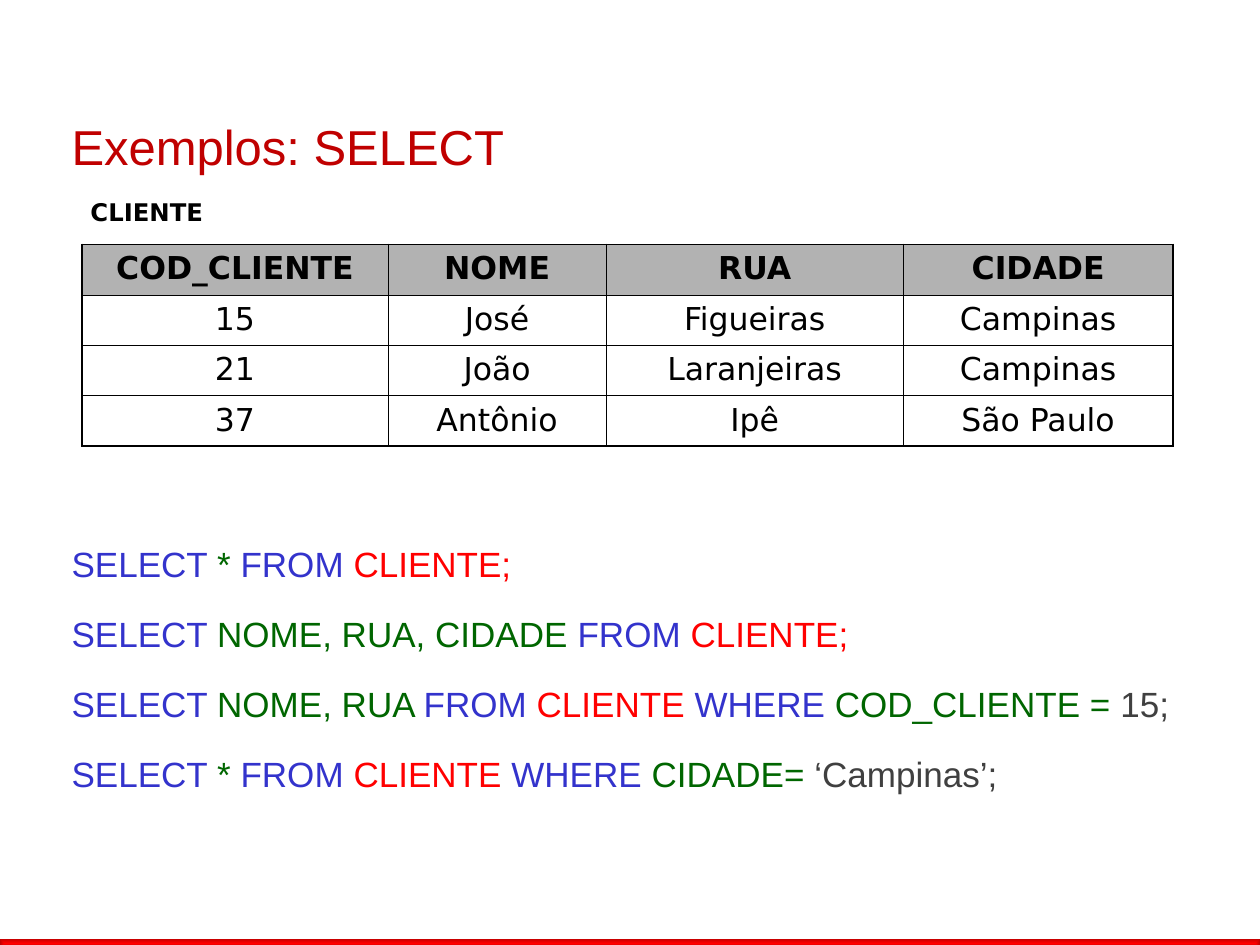
import pptx
import pptx.dml.color
import pptx.enum.shapes
import pptx.enum.text
import pptx.oxml
import pptx.util
from lxml import etree

Pt = pptx.util.Pt
ALIGN = pptx.enum.text.PP_ALIGN
ANCHOR = pptx.enum.text.MSO_ANCHOR
NS = "http://schemas.openxmlformats.org/drawingml/2006/main"
BLUE, GREEN, RED, GRAY, BLACK = "3333CC", "006600", "FF0000", "404040", "000000"


def rgb(value):
    return pptx.dml.color.RGBColor.from_string(value)


def add_span(para, text, font="Arial", size=20, color=BLACK, bold=False):
    span = para.add_run()
    span.text = text
    span.font.name = font
    span.font.size = Pt(size)
    span.font.bold = bold
    span.font.color.rgb = rgb(color)


deck = pptx.Presentation()
deck.slide_width, deck.slide_height = Pt(720), Pt(540)
page = deck.slides.add_slide(deck.slide_layouts[6])

bar = page.shapes.add_shape(
    pptx.enum.shapes.MSO_SHAPE.RECTANGLE, Pt(0), Pt(536.4), Pt(720), Pt(5.4))
bar.shadow.inherit = False
bar.line.fill.background()
bar.fill.gradient()
for stop, color in zip(bar.fill.gradient_stops, [RED, "C00000"]):
    stop.color.rgb = rgb(color)
direction = bar._element.spPr.find(f".//{{{NS}}}lin")
direction.getparent().replace(direction, pptx.oxml.parse_xml(
    f'<a:path xmlns:a="{NS}" path="rect">'
    '<a:fillToRect l="50000" t="50000" r="50000" b="50000"/></a:path>'))

title = page.shapes.add_textbox(Pt(33.84), Pt(54.72), Pt(648), Pt(56.88))
title.text_frame.word_wrap = True
title.text_frame.vertical_anchor = ANCHOR.MIDDLE
add_span(title.text_frame.paragraphs[0], "Exemplos: SELECT", size=28, color="C00000")

statements = [
    [("SELECT ", BLUE), ("* ", GREEN), ("FROM ", BLUE), ("CLIENTE;", RED)],
    [("SELECT ", BLUE), ("NOME, RUA, CIDADE ", GREEN), ("FROM ", BLUE), ("CLIENTE;", RED)],
    [("SELECT ", BLUE), ("NOME, RUA ", GREEN), ("FROM ", BLUE), ("CLIENTE ", RED),
     ("WHERE ", BLUE), ("COD_CLIENTE = ", GREEN), ("15;", GRAY)],
    [("SELECT ", BLUE), ("* ", GREEN), ("FROM ", BLUE), ("CLIENTE ", RED),
     ("WHERE ", BLUE), ("CIDADE= ", GREEN), ("‘Campinas’;", GRAY)],
]
queries = page.shapes.add_textbox(Pt(33.84), Pt(306.5), Pt(669.6), Pt(214))
queries.text_frame.word_wrap = True
for index, statement in enumerate(statements):
    frame = queries.text_frame
    para = frame.add_paragraph() if index else frame.paragraphs[0]
    para.alignment = ALIGN.JUSTIFY
    para.space_before, para.space_after = Pt(6), Pt(10)
    for text, color in statement:
        add_span(para, text, color=color)

rows = [
    ["COD_CLIENTE", "NOME", "RUA", "CIDADE"],
    ["15", "José", "Figueiras", "Campinas"],
    ["21", "João", "Laranjeiras", "Campinas"],
    ["37", "Antônio", "Ipê", "São Paulo"],
]
widths = [174.96, 124.56, 169.92, 154.08]
clients = page.shapes.add_table(
    4, 4, Pt(46.8), Pt(139.68), Pt(sum(widths)), Pt(115.2)).table
for column, width in zip(clients.columns, widths):
    column.width = Pt(width)
for r, row in enumerate(rows):
    clients.rows[r].height = Pt(28.8)
    for c, text in enumerate(row):
        cell = clients.cell(r, c)
        para = cell.text_frame.paragraphs[0]
        para.alignment = ALIGN.CENTER
        para.space_before = Pt(4.5)
        add_span(para, text, font="DejaVu Sans", size=18, bold=r == 0)
        props = cell._tc.get_or_add_tcPr()
        outer = {"lnL": c == 0, "lnR": c == 3, "lnT": r == 0, "lnB": r == 3}
        for side, thick in outer.items():
            edge = etree.SubElement(
                props, f"{{{NS}}}{side}", w=str(Pt(1.08 if thick else 0.45)))
            paint = etree.SubElement(edge, f"{{{NS}}}solidFill")
            etree.SubElement(paint, f"{{{NS}}}srgbClr", val=BLACK)
        if r == 0:
            cell.fill.solid()
            cell.fill.fore_color.rgb = rgb("B2B2B2")
        else:
            cell.fill.background()

caption = page.shapes.add_textbox(Pt(44.64), Pt(112.32), Pt(120.24), Pt(25.2))
caption.text_frame.word_wrap = True
para = caption.text_frame.paragraphs[0]
para.line_spacing = 0.8
add_span(para, "CLIENTE", font="DejaVu Sans", size=13.9, bold=True)

deck.save("out.pptx")
